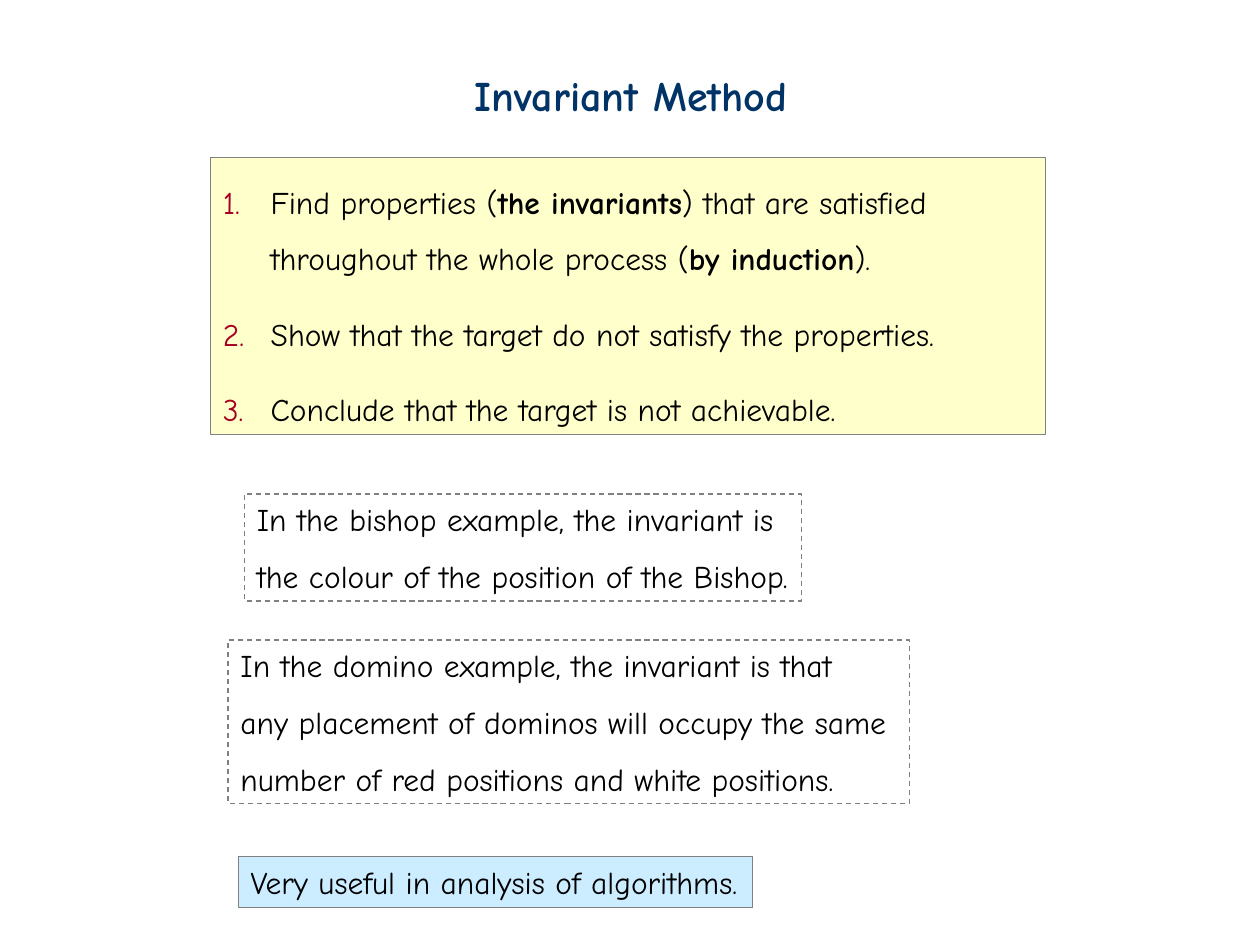
from dataclasses import dataclass

import pptx
import pptx.dml.color
import pptx.enum.dml
import pptx.enum.shapes
import pptx.enum.text
import pptx.oxml.ns
import pptx.util
from lxml import etree


@dataclass(frozen=True)
class Theme:
    font: str = "Comic Neue"
    title: str = "003366"
    body: str = "000000"
    number: str = "A50021"
    border: str = "808080"
    method: str = "FFFFCC"
    remark: str = "CCECFF"
    title_size: float = 24
    body_size: float = 18
    border_width: float = 0.75
    line_spacing: float = 1.5
    item_gap: float = 21.5
    indent: float = 0.38


@dataclass(frozen=True)
class Run:
    text: str
    bold: bool = False


@dataclass(frozen=True)
class Para:
    runs: tuple[Run, ...]
    spacing: float = 1.0
    before: float = 0
    numbered: bool = False


@dataclass(frozen=True)
class Box:
    """A box placed in percent of the slide's width and height."""
    left: float
    top: float
    width: float
    height: float
    paras: tuple[Para, ...]
    fill: str | None = None
    dashed: bool = False
    wrap: bool = False


THEME = Theme()


def rgb(value: str) -> pptx.dml.color.RGBColor:
    return pptx.dml.color.RGBColor.from_string(value)


def lines(*texts: str) -> tuple[Para, ...]:
    return tuple(Para((Run(t),), THEME.line_spacing if i else 1.0) for i, t in enumerate(texts))


TITLE = Box(36.7, 6.67, 26.8, 6.67, (Para((Run("Invariant Method", True),)),))

BOXES = (
    Box(16.7, 16.67, 66.3, 29.33, (
        Para((
            Run("Find properties ("),
            Run("the invariants", True),
            Run(") that are satisfied throughout the whole process ("),
            Run("by induction", True),
            Run(")."),
        ), THEME.line_spacing, numbered=True),
        Para((Run("Show that the target do not satisfy the properties."),),
             before=THEME.item_gap, numbered=True),
        Para((Run("Conclude that the target is not achievable."),),
             before=THEME.item_gap, numbered=True),
    ), fill=THEME.method, wrap=True),
    Box(19.4, 52.27, 44.2, 11.33, lines(
        "In the bishop example, the invariant is",
        "the colour of the position of the Bishop.",
    ), dashed=True),
    Box(18.1, 67.73, 54.1, 17.33, lines(
        "In the domino example, the invariant is that",
        "any placement of dominos will occupy the same",
        "number of red positions and white positions.",
    ), dashed=True),
    Box(18.9, 90.67, 40.8, 5.33, lines("Very useful in analysis of algorithms."),
        fill=THEME.remark),
)


def add_number(p) -> None:
    qn = pptx.oxml.ns.qn
    pPr = p._p.get_or_add_pPr()
    indent = pptx.util.Inches(THEME.indent)
    pPr.set("marL", str(indent))
    pPr.set("indent", str(-indent))
    color = etree.SubElement(pPr, qn("a:buClr"))
    etree.SubElement(color, qn("a:srgbClr"), val=THEME.number)
    etree.SubElement(pPr, qn("a:buAutoNum"), type="arabicPeriod")


def write(sp, box: Box, size: float, color: str) -> None:
    tf = sp.text_frame
    tf.word_wrap = box.wrap
    tf.auto_size = pptx.enum.text.MSO_AUTO_SIZE.SHAPE_TO_FIT_TEXT
    tf.vertical_anchor = pptx.enum.text.MSO_ANCHOR.TOP
    for i, para in enumerate(box.paras):
        p = tf.add_paragraph() if i else tf.paragraphs[0]
        if para.numbered:
            add_number(p)
        p.alignment = pptx.enum.text.PP_ALIGN.LEFT
        p.line_spacing = para.spacing
        if para.before:
            p.space_before = pptx.util.Pt(para.before)
        for run in para.runs:
            r = p.add_run()
            r.text = run.text
            r.font.name = THEME.font
            r.font.size = pptx.util.Pt(size)
            r.font.bold = run.bold
            r.font.color.rgb = rgb(color)


def place(prs, box: Box) -> tuple[int, int, int, int]:
    w, h = prs.slide_width / 100, prs.slide_height / 100
    return round(box.left * w), round(box.top * h), round(box.width * w), round(box.height * h)


def add_title(prs, s, box: Box) -> None:
    write(s.shapes.add_textbox(*place(prs, box)), box, THEME.title_size, THEME.title)


def add_box(prs, s, box: Box) -> None:
    sp = s.shapes.add_shape(pptx.enum.shapes.MSO_SHAPE.RECTANGLE, *place(prs, box))
    sp.shadow.inherit = False
    if box.fill:
        sp.fill.solid()
        sp.fill.fore_color.rgb = rgb(box.fill)
    else:
        sp.fill.background()
    sp.line.color.rgb = rgb(THEME.border)
    sp.line.width = pptx.util.Pt(THEME.border_width)
    if box.dashed:
        sp.line.dash_style = pptx.enum.dml.MSO_LINE.DASH
    write(sp, box, THEME.body_size, THEME.body)


def main() -> None:
    prs = pptx.Presentation()
    prs.slide_width = pptx.util.Inches(10)
    prs.slide_height = pptx.util.Inches(7.5)
    s = prs.slides.add_slide(prs.slide_layouts[6])
    add_title(prs, s, TITLE)
    for box in BOXES:
        add_box(prs, s, box)
    prs.save("out.pptx")


if __name__ == "__main__":
    main()
